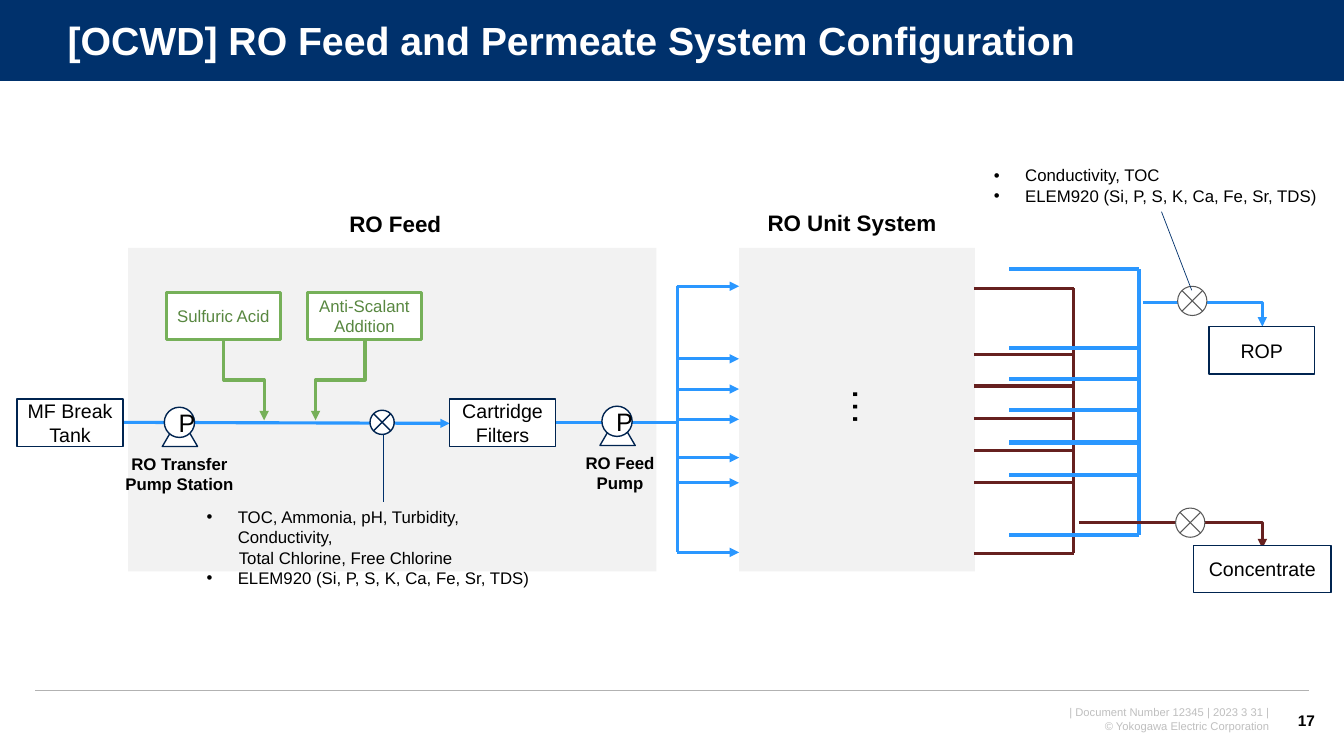
from lxml.etree import SubElement
from pptx import Presentation
from pptx.dml.color import RGBColor
from pptx.enum.shapes import MSO_CONNECTOR as Link, MSO_SHAPE as Shape
from pptx.enum.text import MSO_ANCHOR as Anchor, MSO_AUTO_SIZE as AutoSize, PP_ALIGN as Align
from pptx.oxml.ns import qn
from pptx.util import Pt

PX = 9144
NAVY = RGBColor(0x00, 0x31, 0x6C)
OUTLINE = RGBColor(0x00, 0x24, 0x50)
WHITE = RGBColor(0xFF, 0xFF, 0xFF)
BLACK = RGBColor(0x00, 0x00, 0x00)
PANEL = RGBColor(0xF2, 0xF2, 0xF2)
BLUE = RGBColor(0x2A, 0x97, 0xFF)
MAROON = RGBColor(0x66, 0x20, 0x1F)
GREEN = RGBColor(0x76, 0xB0, 0x59)
GREEN_TEXT = RGBColor(0x58, 0x87, 0x40)
GREY = RGBColor(0x59, 0x59, 0x59)
RULE = RGBColor(0xB2, 0xB2, 0xB2)
FOOTER = RGBColor(0xBF, 0xBF, 0xBF)

TITLE = "[OCWD] RO Feed and Permeate System Configuration"
ANALYZER = "ELEM920 (Si, P, S, K, Ca, Fe, Sr, TDS)"
PANELS = [(127, 246, 524, 321), (733, 246, 234, 321)]
HEADINGS = [
    ("RO Feed", (275, 204, 234, 37), 16),
    ("RO Unit System", (728, 203, 234, 37), 16),
    ("RO Transfer Pump Station", (104, 445, 148, 50), 12),
    ("RO Feed Pump", (555, 444, 120, 50), 12),
]
UNITS = [
    ("MF Break Tank", (17, 396, 105, 47)),
    ("Cartridge Filters", (446, 396, 105, 47)),
    ("ROP", (1199, 324, 105, 47)),
    ("Concentrate", (1184, 541, 136, 47)),
]
DOSES = [
    ("Sulfuric Acid", 165, 262),
    ("Anti-Scalant Addition", 305, 313),
]
PUMPS = [(161, 404), (595, 403)]
SENSORS = [
    ((367, 407, 24, 24), OUTLINE, 1),
    ((1166, 504, 29, 29), GREY, 0.75),
    ((1168, 284, 29, 29), GREY, 0.75),
]
CALLOUTS = [((380, 431), (380, 498)), ((1152, 210), (1182, 288))]
FEED_ROWS = [284, 356, 386, 416, 454, 479, 548]
CONCENTRATE_ROWS = [286, 352, 383, 415, 447, 479, 549]
PERMEATE_ROWS = [267, 345, 376, 407, 439, 471, 531]
HANGING, PLAIN = (31, -31), (32, 0)
FEED_NOTES = [
    ("TOC, Ammonia, pH, Turbidity, Conductivity,", HANGING, 30),
    ("Total Chlorine, Free Chlorine", PLAIN, 0),
    (ANALYZER, HANGING, 0),
]
PERMEATE_NOTES = [("Conductivity, TOC", HANGING, 0), (ANALYZER, HANGING, 0)]
FOOTER_LINES = ["| Document Number 12345 | 2023 3 31 |", "© Yokogawa Electric Corporation"]

deck = Presentation()
deck.slide_width, deck.slide_height = 1333 * PX, 750 * PX
page = deck.slides.add_slide(deck.slide_layouts[5])


def scaled(*lengths):
    return [round(length * PX) for length in lengths]


def style(box, size, color=BLACK, bold=False, align=Align.CENTER):
    for para in box.text_frame.paragraphs:
        para.alignment = align
        for span in para.runs:
            span.font.name = "Arial"
            span.font.size = Pt(size)
            span.font.bold = bold
            span.font.color.rgb = color


def add_box(kind, frame, fill, line=None, weight=1, text="", size=14, color=BLACK):
    box = page.shapes.add_shape(kind, *scaled(*frame))
    box.shadow.inherit = False
    box.fill.solid()
    box.fill.fore_color.rgb = fill
    if line is None:
        box.line.fill.background()
    else:
        box.line.color.rgb = line
        box.line.width = Pt(weight)
    if text:
        box.text_frame.text = text
        box.text_frame.vertical_anchor = Anchor.MIDDLE
        style(box, size, color)
    return box


def add_text(text, frame, size, color=BLACK, bold=False, align=Align.CENTER):
    box = page.shapes.add_textbox(*scaled(*frame))
    box.text_frame.word_wrap = True
    box.text_frame.text = text
    style(box, size, color, bold, align)
    return box


def add_line(start, end, color, weight=2.25, arrow=False, kind=Link.STRAIGHT):
    line = page.shapes.add_connector(kind, *scaled(*start, *end))
    line.line.color.rgb = color
    line.line.width = Pt(weight)
    if arrow:
        SubElement(line.line._get_or_add_ln(), qn("a:tailEnd"), type="triangle")
    SubElement(line._element.spPr, qn("a:effectLst"))
    return line


def add_corner(start, end, color):
    line = add_line(start, end, color, arrow=True, kind=Link.ELBOW)
    line._element.spPr.find(qn("a:prstGeom")).set("prst", "bentConnector2")


def add_drop(start, end, color):
    middle_x, middle_y = (start[0] + end[0]) / 2, (start[1] + end[1]) / 2
    half_x, half_y = (end[0] - start[0]) / 2, (end[1] - start[1]) / 2
    line = add_line((middle_x + half_y, middle_y - half_x),
                    (middle_x - half_y, middle_y + half_x),
                    color, arrow=True, kind=Link.ELBOW)
    line._element.spPr.find(qn("a:xfrm")).set("rot", str(270 * 60000))


def add_manifold(rows, left, right, trunk, color, weight=2.25, arrow=False):
    for row in rows:
        add_line((left, row), (right, row), color, weight, arrow)
    add_line((trunk, rows[0]), (trunk, rows[-1]), color, weight)


def add_notes(notes, frame):
    box = add_text("\n".join(text for text, _, _ in notes), frame, 12, align=Align.LEFT)
    for para, (_, (margin, indent), right) in zip(box.text_frame.paragraphs, notes):
        props = para._p.get_or_add_pPr()
        for name, length in (("marL", margin), ("marR", right), ("indent", indent)):
            props.set(name, str(length * PX))
        if indent:
            SubElement(props, qn("a:buFont"), typeface="Arial")
            SubElement(props, qn("a:buChar"), char="•")


bar = add_box(Shape.RECTANGLE, (0, 0, 1333, 81), NAVY)
title = page.shapes.title
title.left, title.top, title.width, title.height = scaled(57, 14, 1247, 57)
title.text_frame.text = TITLE
title.text_frame.auto_size = AutoSize.NONE
title.text_frame.vertical_anchor = Anchor.MIDDLE
title.text_frame.paragraphs[0].line_spacing = 0.9
style(title, 28, WHITE, True, Align.LEFT)
bar._element.addnext(title._element)

add_line((0, 81), (1333, 81), WHITE, 0.75)
add_line((35, 685), (1298, 685), RULE, 1)
add_text("\n".join(FOOTER_LINES), (948, 695, 321, 37), 8, FOOTER, align=Align.RIGHT)
number = add_text("17", (1270, 695, 44, 40), 11, bold=True, align=Align.RIGHT)
number.text_frame.vertical_anchor = Anchor.MIDDLE

for frame in PANELS:
    add_box(Shape.RECTANGLE, frame, PANEL)
for text, frame, size in HEADINGS:
    add_text(text, frame, size, bold=True)
dots = add_text("…", (823, 375, 67, 104), 28, align=Align.LEFT)
dots.text_frame._txBody.bodyPr.set("vert", "eaVert")

add_manifold(FEED_ROWS, 671, 733, 672, BLUE, arrow=True)
add_line((540, 419), (670, 419), BLUE)
add_line((121, 419), (446, 420), BLUE, arrow=True)
add_manifold(CONCENTRATE_ROWS, 966, 1065, 1065, MAROON)
add_manifold(PERMEATE_ROWS, 1001, 1130, 1130, BLUE, 3)
add_corner((1070, 518), (1252, 544), MAROON)
add_corner((1134, 300), (1252, 324), BLUE)

for left, top in PUMPS:
    add_box(Shape.ISOSCELES_TRIANGLE, (left, top + 9, 35, 30), WHITE, OUTLINE)
    add_box(Shape.OVAL, (left + 2, top, 30, 30), WHITE, OUTLINE, text="P", size=18)
for text, frame in UNITS:
    add_box(Shape.RECTANGLE, frame, WHITE, OUTLINE, text=text)
for text, left, target in DOSES:
    add_box(Shape.RECTANGLE, (left, 290, 113, 47), WHITE, GREEN, 2.25, text, 12, GREEN_TEXT)
    add_drop((left + 57, 337), (target, 417), GREEN)
for frame, color, weight in SENSORS:
    add_box(Shape.FLOWCHART_SUMMING_JUNCTION, frame, WHITE, color, weight)
for start, end in CALLOUTS:
    add_line(start, end, NAVY, 0.5)
add_notes(FEED_NOTES, (195, 498, 369, 71))
add_notes(PERMEATE_NOTES, (976, 159, 352, 50))

deck.save("out.pptx")
